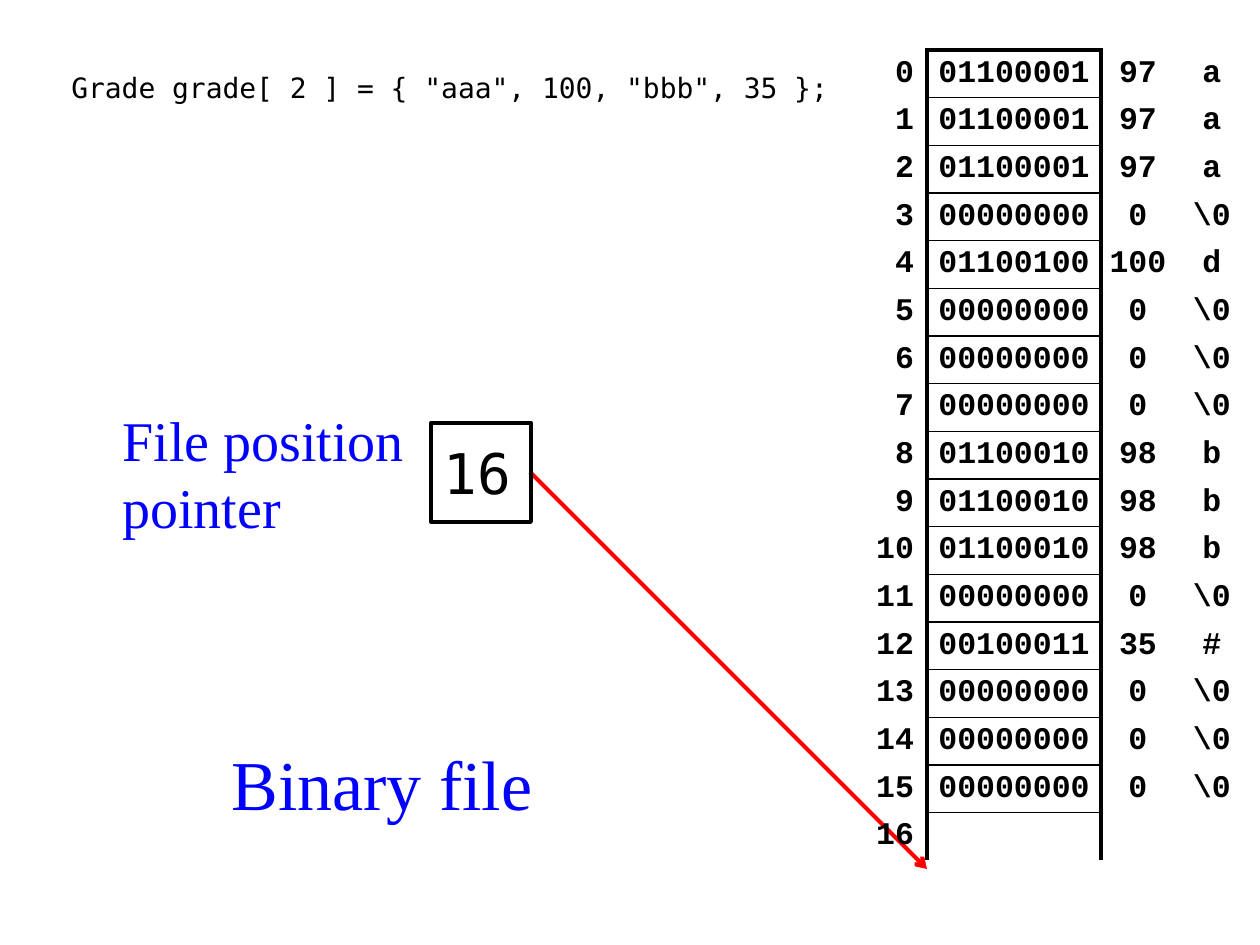
from lxml.etree import SubElement
from pptx import Presentation
from pptx.dml.color import RGBColor
from pptx.enum.shapes import MSO_CONNECTOR, MSO_SHAPE
from pptx.enum.text import MSO_ANCHOR, MSO_AUTO_SIZE, PP_ALIGN
from pptx.oxml.ns import qn
from pptx.util import Emu, Pt

PIXEL = 914400 // 126
BLACK, BLUE, RED = "000000", "0000FF", "FF0000"
SERIF, MONO, COURIER = "Times New Roman", "DejaVu Sans Mono", "Courier New"
NO_STYLE = "{2D5ABB26-0587-4C30-8999-92F81FD0307C}"
ROW_HEIGHT = 44
COLUMN_WIDTHS = (74, 174, 74, 74)
SIDE_MARGINS = (13, 10, 8, 13)
FILE_BYTES = (97, 97, 97, 0, 100, 0, 0, 0, 98, 98, 98, 0, 35, 0, 0, 0)


def px(*lengths):
    return [Emu(length * PIXEL) for length in lengths]


def color(value):
    return RGBColor.from_string(value)


def add_run(paragraph, text, size, font, fill, bold=False):
    run = paragraph.add_run()
    run.text = text
    run.font.size = Pt(size)
    run.font.name = font
    run.font.bold = bold
    run.font.color.rgb = color(fill)


def write(shape, lines, size, font, fill, align=PP_ALIGN.LEFT, wrap=True):
    frame = shape.text_frame
    frame.word_wrap = wrap
    frame.auto_size = MSO_AUTO_SIZE.NONE
    frame.vertical_anchor = MSO_ANCHOR.MIDDLE
    for index, line in enumerate(lines):
        paragraph = frame.add_paragraph() if index else frame.paragraphs[0]
        paragraph.alignment = align
        add_run(paragraph, line, size, font, fill)


def set_title(slide, text, box):
    title = slide.shapes.title
    title.left, title.top, title.width, title.height = px(*box)
    write(title, [text], 40, SERIF, BLUE, PP_ALIGN.CENTER)


def add_text(slide, lines, box, size, font, fill, wrap=True):
    write(slide.shapes.add_textbox(*px(*box)), lines, size, font, fill, wrap=wrap)


def add_pointer_box(slide, text, box):
    shape = slide.shapes.add_shape(MSO_SHAPE.RECTANGLE, *px(*box))
    shape.shadow.inherit = False
    shape.fill.background()
    shape.line.color.rgb = color(BLACK)
    shape.line.width = Pt(2.25)
    write(shape, [text], 32, MONO, BLACK, wrap=False)


def add_arrow(slide, start, end):
    arrow = slide.shapes.add_connector(MSO_CONNECTOR.STRAIGHT, *px(*start, *end))
    arrow.line.color.rgb = color(RED)
    arrow.line.width = Pt(2.25)
    SubElement(arrow.line._get_or_add_ln(), qn("a:tailEnd"), type="arrow")
    SubElement(arrow._element.spPr, qn("a:effectLst"))


def set_borders(cell, widths):
    properties = cell._tc.get_or_add_tcPr()
    for side in "LRTB":
        width = widths.get(side, 0)
        line = SubElement(properties, qn(f"a:ln{side}"), w=str(Pt(width)))
        if width:
            fill = SubElement(line, qn("a:solidFill"))
            SubElement(fill, qn("a:srgbClr"), val=BLACK)
        else:
            SubElement(line, qn("a:noFill"))


def byte_borders(row, column, last_row):
    if column == 0:
        return {"R": 2.25}
    if column == 2:
        return {"L": 2.25}
    if column == 3:
        return {}
    return {"L": 2.25, "R": 2.25, "T": 1 if row else 2.25, "B": 0 if row == last_row else 1}


def fill_cell(cell, text, column):
    cell.margin_left = cell.margin_right = px(SIDE_MARGINS[column])[0]
    cell.margin_top = cell.margin_bottom = px(6)[0]
    cell.vertical_anchor = MSO_ANCHOR.MIDDLE
    paragraph = cell.text_frame.paragraphs[0]
    paragraph.alignment = PP_ALIGN.CENTER if column else PP_ALIGN.RIGHT
    if text:
        add_run(paragraph, text, 18, COURIER, BLACK, bold=True)
    else:
        ending = SubElement(paragraph._p, qn("a:endParaRPr"), sz="1800", b="1")
        SubElement(ending, qn("a:latin"), typeface=COURIER)


def byte_rows():
    rows = [(str(address), f"{value:08b}", str(value), chr(value) if value else "\\0")
            for address, value in enumerate(FILE_BYTES)]
    return rows + [(str(len(FILE_BYTES)), "", "", "")]


def add_byte_table(slide, left, top):
    rows = byte_rows()
    box = px(left, top, sum(COLUMN_WIDTHS), ROW_HEIGHT * len(rows))
    table = slide.shapes.add_table(len(rows), len(COLUMN_WIDTHS), *box).table
    table.first_row = table.horz_banding = False
    table._tbl.tblPr.find(qn("a:tableStyleId")).text = NO_STYLE
    for column, width in zip(table.columns, px(*COLUMN_WIDTHS)):
        column.width = width
    for row, texts in enumerate(rows):
        table.rows[row].height = px(ROW_HEIGHT)[0]
        for column, text in enumerate(texts):
            cell = table.cell(row, column)
            fill_cell(cell, text, column)
            set_borders(cell, byte_borders(row, column, len(rows) - 1))
            cell.fill.background()


def main():
    presentation = Presentation()
    presentation.slide_width, presentation.slide_height = px(1260, 945)
    slide = presentation.slides.add_slide(presentation.slide_layouts[5])
    set_title(slide, "Binary file", (208, 721, 348, 123))
    add_arrow(slide, (530, 472), (927, 869))
    add_pointer_box(slide, "16", (431, 423, 100, 99))
    add_byte_table(slide, 853, 50)
    add_text(slide, ["File position", "pointer"], (110, 398, 323, 149), 32, SERIF, BLUE, wrap=False)
    add_text(slide, ['Grade grade[ 2 ] = { "aaa", 100, "bbb", 35 };'],
             (59, 50, 794, 74), 16, MONO, BLACK)
    presentation.save("out.pptx")


main()
